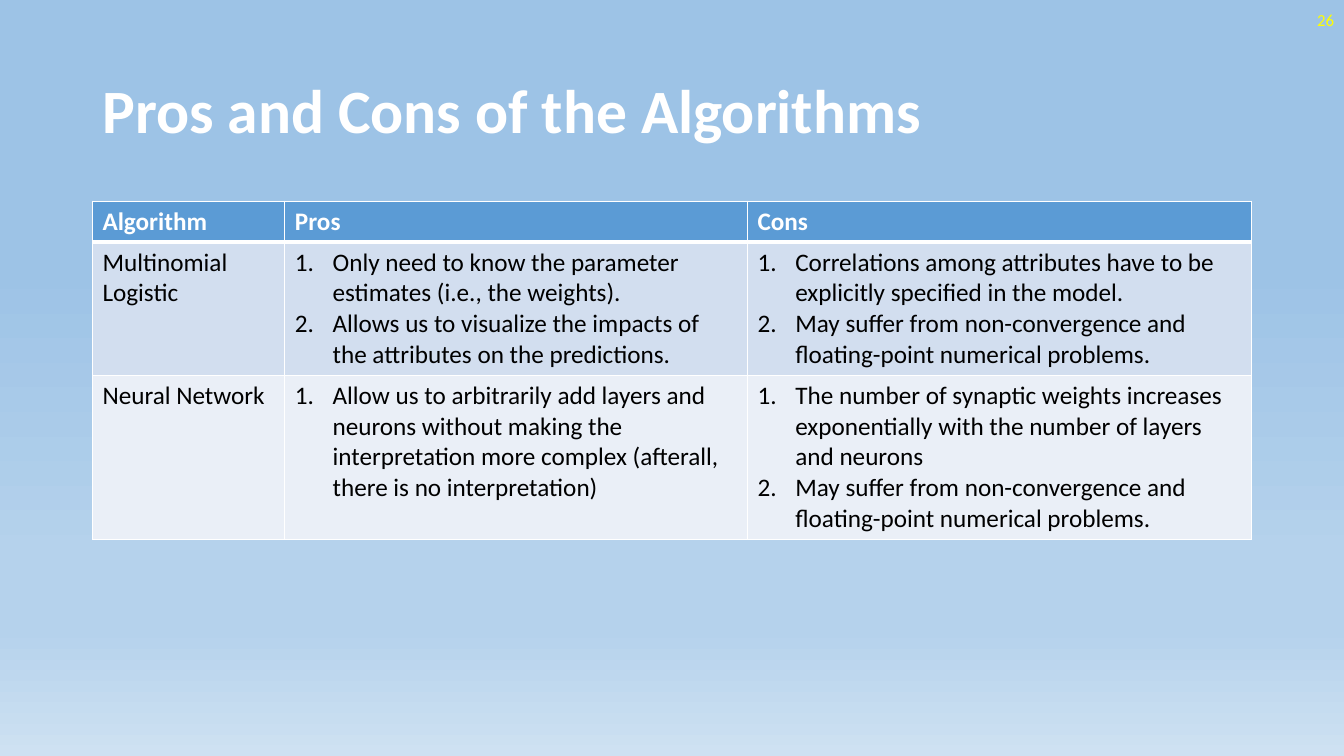
from pptx import Presentation
from pptx.dml.color import RGBColor
from pptx.enum.text import MSO_ANCHOR, PP_ALIGN
from pptx.oxml import parse_xml
from pptx.oxml.ns import nsdecls
from pptx.util import Cm, Pt

COLORS = {
    "white": "FFFFFF",
    "black": "000000",
    "yellow": "FFFF00",
    "header": "5B9BD5",
    "band_dark": "D2DEEF",
    "band_light": "EAEFF7",
    "sky": "9DC3E6",
    "haze": "B5D2EC",
    "horizon": "CEE1F2",
}
GRADIENT = [(35, "sky"), (74, "haze"), (83, "haze"), (100, "horizon")]
COLUMN_WIDTHS = [4.85, 11.66, 12.7]
ROW_HEIGHTS = [1.03, 3.35, 4.13]
ROW_FILLS = ["header", "band_dark", "band_light"]
CONVERGENCE = "May suffer from non-convergence and floating-point numerical problems."
ROWS = [
    [["Algorithm"], ["Pros"], ["Cons"]],
    [
        ["Multinomial Logistic"],
        [
            "Only need to know the parameter estimates (i.e., the weights).",
            "Allows us to visualize the impacts of the attributes on the predictions.",
        ],
        [
            "Correlations among attributes have to be explicitly specified in the model.",
            CONVERGENCE,
        ],
    ],
    [
        ["Neural Network"],
        [
            "Allow us to arbitrarily add layers and neurons without making the "
            "interpretation more complex (afterall, there is no interpretation)",
        ],
        [
            "The number of synaptic weights increases exponentially with the "
            "number of layers and neurons",
            CONVERGENCE,
        ],
    ],
]


class SlideBuilder:
    font_name = "Calibri"

    def __init__(self, presentation):
        self.slide = presentation.slides.add_slide(presentation.slide_layouts[5])

    def color(self, name):
        return RGBColor.from_string(COLORS[name])

    def style(self, paragraph, size, color, bold=False):
        paragraph.font.name = self.font_name
        paragraph.font.size = Pt(size)
        paragraph.font.bold = bold
        paragraph.font.color.rgb = self.color(color)

    def background(self, stops):
        stop_xml = "".join(
            f'<a:gs pos="{position * 1000}"><a:srgbClr val="{COLORS[name]}"/></a:gs>'
            for position, name in stops
        )
        background = parse_xml(
            f'<p:bg {nsdecls("p", "a")}><p:bgPr><a:gradFill rotWithShape="1">'
            f'<a:gsLst>{stop_xml}</a:gsLst><a:lin ang="5400000" scaled="0"/>'
            "</a:gradFill><a:effectLst/></p:bgPr></p:bg>"
        )
        self.slide.element.cSld.insert(0, background)

    def place(self, shape, left, top, width, height):
        shape.left, shape.top = Cm(left), Cm(top)
        shape.width, shape.height = Cm(width), Cm(height)

    def title(self, text, *box):
        shape = self.slide.shapes.title
        self.place(shape, *box)
        shape.text_frame.text = text
        shape.text_frame.word_wrap = True
        shape.text_frame.vertical_anchor = MSO_ANCHOR.MIDDLE
        paragraph = shape.text_frame.paragraphs[0]
        paragraph.alignment = PP_ALIGN.LEFT
        paragraph.line_spacing = 0.9
        self.style(paragraph, 44, "white", bold=True)

    def page_number(self, text, *box):
        shape = self.slide.shapes.add_textbox(*map(Cm, box))
        shape.text_frame.text = text
        shape.text_frame.word_wrap = True
        shape.text_frame.vertical_anchor = MSO_ANCHOR.MIDDLE
        paragraph = shape.text_frame.paragraphs[0]
        paragraph.alignment = PP_ALIGN.RIGHT
        self.style(paragraph, 12, "yellow")

    def number(self, paragraph):
        properties = paragraph._p.get_or_add_pPr()
        properties.set("marL", str(Cm(0.95)))
        properties.set("indent", str(-Cm(0.95)))
        properties.append(
            parse_xml(f'<a:buAutoNum {nsdecls("a")} type="arabicPeriod"/>')
        )

    def borders(self, cell, top, bottom):
        widths = {"lnL": 1, "lnR": 1, "lnT": top, "lnB": bottom}
        for index, (side, width) in enumerate(widths.items()):
            line = parse_xml(
                f'<a:{side} {nsdecls("a")} w="{Pt(width)}"><a:solidFill>'
                f'<a:srgbClr val="{COLORS["white"]}"/></a:solidFill></a:{side}>'
            )
            cell._tc.get_or_add_tcPr().insert(index, line)

    def cell(self, cell, lines, fill, header, numbered):
        cell.fill.solid()
        cell.fill.fore_color.rgb = self.color(fill)
        cell.text = "\n".join(lines)
        for paragraph in cell.text_frame.paragraphs:
            if numbered:
                self.number(paragraph)
            self.style(paragraph, 18, "white" if header else "black", bold=header)

    def table(self, rows, left, top):
        size = (sum(COLUMN_WIDTHS), sum(ROW_HEIGHTS))
        frame = self.slide.shapes.add_table(
            len(rows), len(COLUMN_WIDTHS), *map(Cm, (left, top, *size))
        )
        table = frame.table
        for column, width in zip(table.columns, COLUMN_WIDTHS):
            column.width = Cm(width)
        for row, height in zip(table.rows, ROW_HEIGHTS):
            row.height = Cm(height)
        for row_index, row in enumerate(rows):
            header = row_index == 0
            for column_index, lines in enumerate(row):
                cell = table.cell(row_index, column_index)
                numbered = not header and column_index > 0
                self.cell(cell, lines, ROW_FILLS[row_index], header, numbered)
                self.borders(
                    cell, 3 if row_index == 1 else 1, 3 if header else 1
                )


def main():
    presentation = Presentation()
    presentation.slide_width = Cm(33.87)
    presentation.slide_height = Cm(19.05)
    builder = SlideBuilder(presentation)
    builder.background(GRADIENT)
    builder.title("Pros and Cons of the Algorithms", 2.33, 1.01, 29.21, 3.68)
    builder.table(ROWS, 2.33, 5.07)
    builder.page_number("26", 26.25, 0, 7.62, 1.01)
    presentation.save("out.pptx")


if __name__ == "__main__":
    main()
